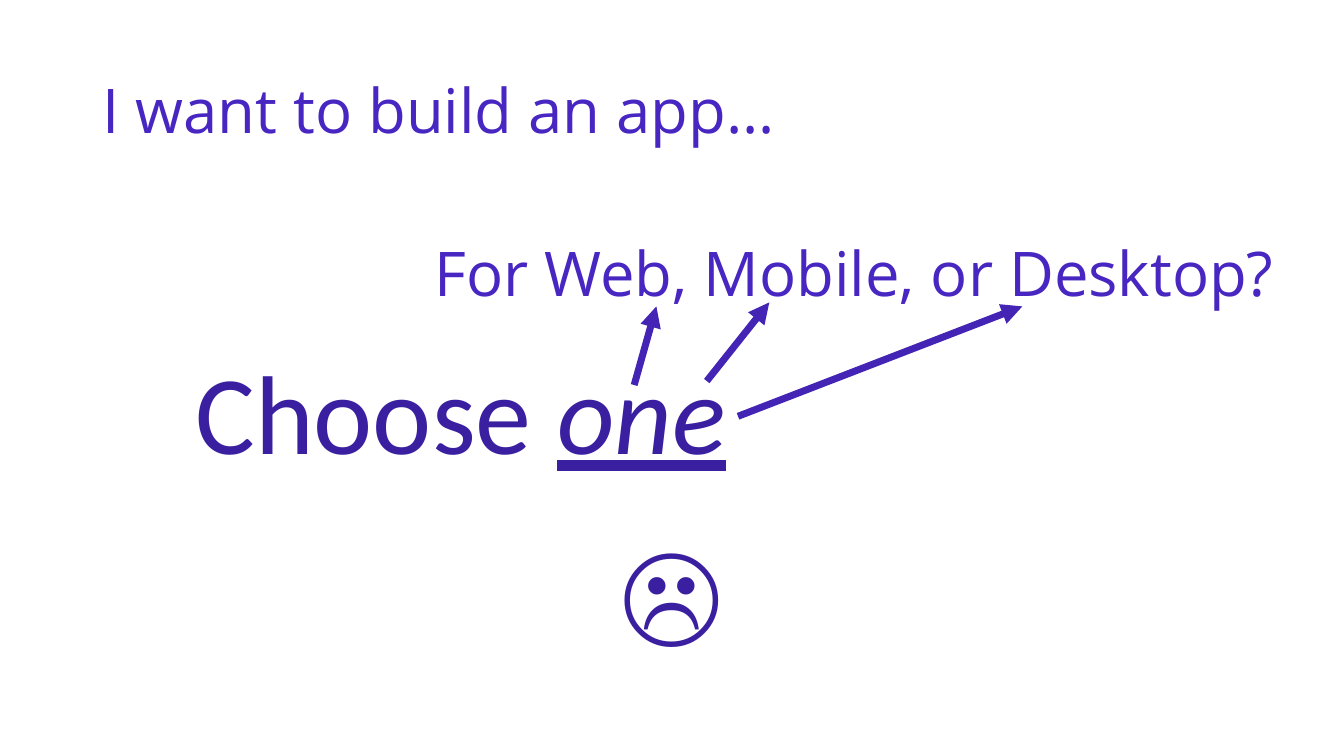
from lxml import etree
from pptx import Presentation
from pptx import util as u
from pptx.dml.color import RGBColor
from pptx.enum import shapes, text
from pptx.oxml.ns import qn

COLORS = {"heading": "4826C1", "answer": "3A20A0", "arrow": "4424B5"}


class Deck:
    def __init__(self):
        self.prs = Presentation()
        self.prs.slide_width = u.Inches(13.33)
        self.prs.slide_height = u.Inches(7.5)
        self.s = self.prs.slides.add_slide(self.prs.slide_layouts[6])

    def text_box(self, box, runs, size, font, color):
        sp = self.s.shapes.add_textbox(*map(u.Inches, box))
        tf = sp.text_frame
        tf.word_wrap = True
        p = tf.paragraphs[0]
        for words in runs:
            r = p.add_run()
            r.text = words
            r.font.size = u.Pt(size)
            r.font.name = font
            r.font.color.rgb = RGBColor.from_string(COLORS[color])
        return tf

    def heading(self, box, words):
        tf = self.text_box(box, [words], 44, "Open Sans", "heading")
        tf.vertical_anchor = text.MSO_ANCHOR.MIDDLE
        tf.paragraphs[0].line_spacing = 0.9

    def answer(self, box, *runs):
        tf = self.text_box(box, runs, 80, "Calibri", "answer")
        tf.auto_size = text.MSO_AUTO_SIZE.SHAPE_TO_FIT_TEXT
        return tf.paragraphs[0]

    def arrow(self, start, end):
        c = self.s.shapes.add_connector(
            shapes.MSO_CONNECTOR.STRAIGHT, *map(u.Inches, start + end))
        c.line.width = u.Pt(5)
        c.line.color.rgb = RGBColor.from_string(COLORS["arrow"])
        ln = c.line._get_or_add_ln()
        etree.SubElement(ln, qn("a:tailEnd"), type="triangle")
        etree.SubElement(c._element.spPr, qn("a:effectLst"))


def main():
    deck = Deck()
    deck.heading((0.92, 0.4, 11.5, 1.45), "I want to build an app…")
    p = deck.answer((1.84, 3.35, 7.34, 1.45), "Choose ", "one")
    p.runs[1].font.italic = True
    p.runs[1].font.underline = True
    deck.heading((4.21, 2.02, 8.82, 1.45), "For Web, Mobile, or Desktop?")
    p = deck.answer((5.33, 5.11, 2.67, 1.45), "☹")
    p.alignment = text.PP_ALIGN.CENTER

    for start, end in [((6.29, 3.82), (6.51, 3.04)),
                       ((7.01, 3.78), (7.63, 3)),
                       ((7.32, 4.13), (10.14, 3.04))]:
        deck.arrow(start, end)
    deck.prs.save("out.pptx")


if __name__ == "__main__":
    main()
